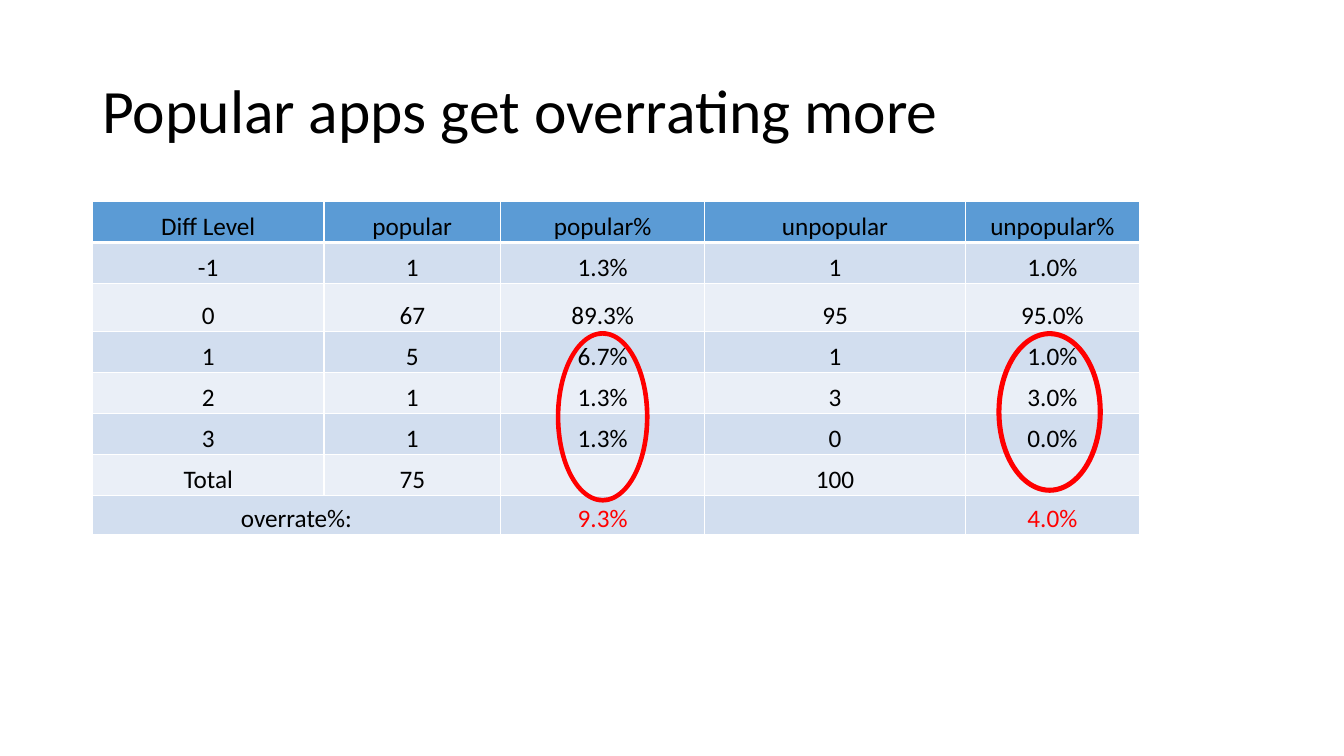
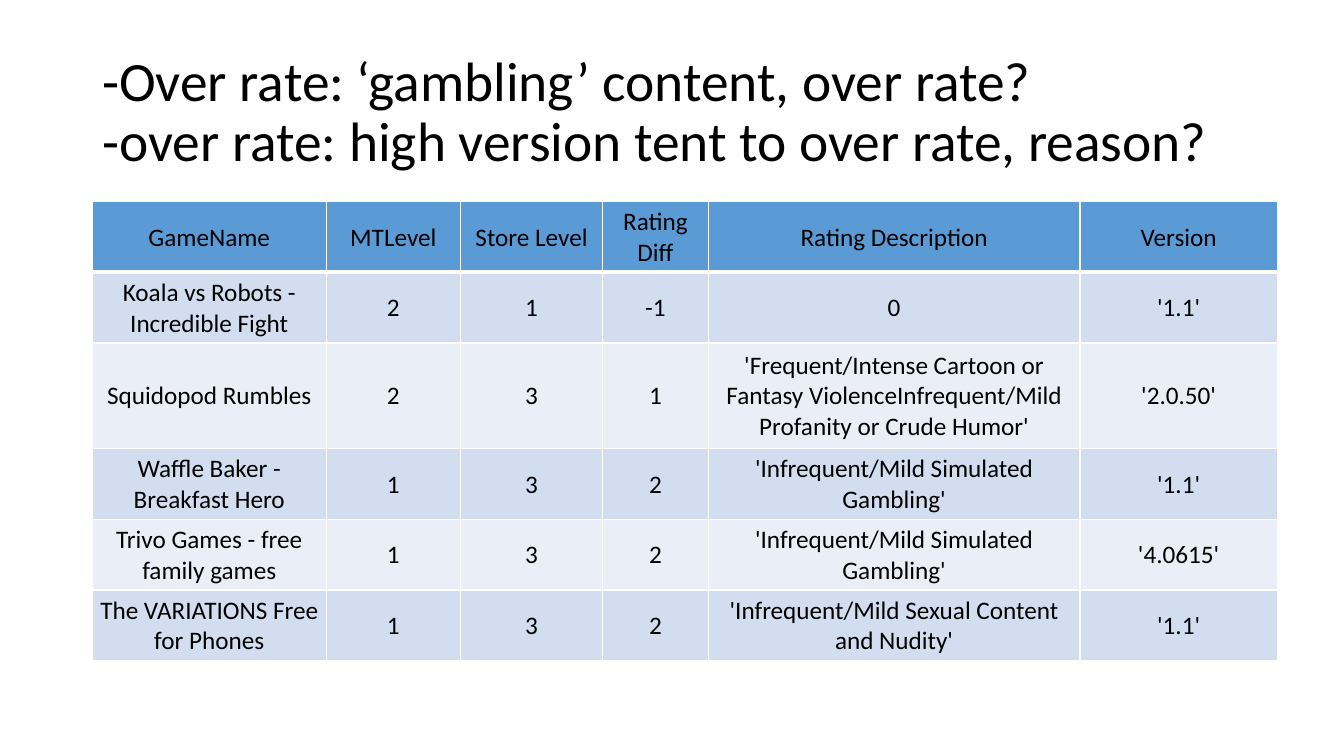
from dataclasses import dataclass
from lxml.etree import SubElement as Sub
from pptx import Presentation as Deck
from pptx.dml.color import RGBColor as Rgb
from pptx.enum.shapes import MSO_SHAPE as Geo
from pptx.enum.text import MSO_ANCHOR as Anchor, PP_ALIGN as Align
from pptx.oxml.ns import qn
from pptx.util import Pt


@dataclass(frozen=True)
class Theme:
    font: str = "Calibri"
    ink: str = "000000"
    red: str = "FF0000"
    head: str = "5B9BD5"
    bands: tuple = ("D2DEEF", "EAEFF7")
    rule: str = "FFFFFF"
    thin: float = 1
    thick: float = 3
    title: float = 44
    small: float = 39.6
    body: float = 18


T = Theme()
TITLE = (66, 29, 828, 104)
GRID = (66, 144)  # left and top of each table


def write(frame, text, size=T.body, color=T.ink, align=Align.LEFT, space=1.0):
    """Fill a text frame; a vertical tab in the text breaks the line."""
    para = frame.paragraphs[0]
    para.text = text
    para.alignment = align
    para.line_spacing = space
    for run in para.runs:
        font = run.font
        font.name, font.size = T.font, Pt(size)
        font.color.rgb = Rgb.from_string(color)


def title(slide, box, text, size=T.title):
    frame = slide.shapes.add_textbox(*map(Pt, box)).text_frame
    frame.word_wrap = True
    frame.vertical_anchor = Anchor.MIDDLE
    write(frame, text, size=size, space=0.9)


def edges(cell, top, base):
    """Draw the four borders of a cell."""
    props = cell._tc.get_or_add_tcPr()
    for tag, width in (("lnL", T.thin), ("lnR", T.thin), ("lnT", top), ("lnB", base)):
        line = Sub(props, qn("a:" + tag), w=str(Pt(width)))
        Sub(Sub(line, qn("a:solidFill")), qn("a:srgbClr"), val=T.rule)


def table(slide, spot, cols, rows, data, anchor, accent=()):
    """Place a banded table; accent lists the texts shown in red."""
    box = (*spot, sum(cols), sum(rows))
    grid = slide.shapes.add_table(len(rows), len(cols), *map(Pt, box)).table
    grid.horz_banding = grid.first_row = False
    for col, width in zip(grid.columns, cols):
        col.width = Pt(width)
    for r, (height, texts) in enumerate(zip(rows, data)):
        grid.rows[r].height = Pt(height)
        shade = T.bands[(r - 1) % 2] if r else T.head
        for c, text in enumerate(texts):
            cell = grid.cell(r, c)
            cell.margin_left = cell.margin_right = cell.margin_top = Pt(0.75)
            cell.margin_bottom = Pt(0)
            cell.vertical_anchor = anchor
            edges(cell, T.thick if r == 1 else T.thin, T.thin if r else T.thick)
            cell.fill.solid()
            cell.fill.fore_color.rgb = Rgb.from_string(shade)
            color = T.red if text in accent else T.ink
            write(cell.text_frame, text, color=color, align=Align.CENTER)
    return grid


def ring(slide, box):
    shape = slide.shapes.add_shape(Geo.DONUT, *map(Pt, box))
    shape.adjustments[0] = 0.035
    shape.shadow.inherit = False
    shape.fill.solid()
    shape.fill.fore_color.rgb = shape.line.color.rgb = Rgb.from_string(T.red)
    shape.line.width = Pt(T.thin)


def rates(slide, spot):
    """Share of each level, with rings round the overrated ones."""
    cols = (165.5, 126, 146, 186, 124.5)
    rows = (29.25, 29.25, 34.5, 29.25, 29.25, 29.25, 29.25, 28)
    data = (
        ("Diff Level", "popular", "popular%", "unpopular", "unpopular%"),
        ("-1", "1", "1.3%", "1", "1.0%"),
        ("0", "67", "89.3%", "95", "95.0%"),
        ("1", "5", "6.7%", "1", "1.0%"),
        ("2", "1", "1.3%", "3", "3.0%"),
        ("3", "1", "1.3%", "0", "0.0%"),
        ("Total", "75", "", "100", ""),
        ("overrate%:", "", "9.3%", "", "4.0%"),
    )
    grid = table(slide, spot, cols, rows, data, Anchor.BOTTOM, accent=("9.3%", "4.0%"))
    grid.cell(7, 0).merge(grid.cell(7, 1))
    left, top = spot
    # Rings start at the row of level 1, centred near their column
    for col, shift, wide, high in ((2, 0, 66, 121.5), (4, -2, 75, 114.5)):
        mid = left + sum(cols[:col]) + cols[col] / 2 + shift
        ring(slide, (mid - wide / 2, top + sum(rows[:3]), wide, high))


def games(slide, spot):
    """Games with their levels and rating texts."""
    cols = (167, 96, 101.5, 75.5, 265.5, 141)
    rows = (50.5, 50.5, 75.5, 50.5, 50.5, 50.5)
    bet = "'Infrequent/Mild Simulated Gambling'"
    data = (
        ("GameName", "MTLevel", "Store Level", "Rating Diff", "Rating Description", "Version"),
        ("Koala vs Robots - Incredible Fight", "2", "1", "-1", "0", "'1.1'"),
        ("Squidopod Rumbles", "2", "3", "1",
         "'Frequent/Intense Cartoon or Fantasy ViolenceInfrequent/Mild "
         "Profanity or Crude Humor'", "'2.0.50'"),
        ("Waffle Baker - Breakfast Hero", "1", "3", "2", bet, "'1.1'"),
        ("Trivo Games - free family games", "1", "3", "2", bet, "'4.0615'"),
        ("The VARIATIONS Free for Phones", "1", "3", "2",
         "'Infrequent/Mild Sexual Content and Nudity'", "'1.1'"),
    )
    table(slide, spot, cols, rows, data, Anchor.MIDDLE)


deck = Deck()
deck.slide_width, deck.slide_height = Pt(960), Pt(540)
pages = (
    ("Popular apps get overrating more", T.title, rates),
    ("-Over rate: ‘gambling’ content, over rate?\v"
     "-over rate: high version tent to over rate, reason?", T.small, games),
)
for text, size, body in pages:
    slide = deck.slides.add_slide(deck.slide_layouts[6])
    title(slide, TITLE, text, size=size)
    body(slide, GRID)
deck.save("out.pptx")
